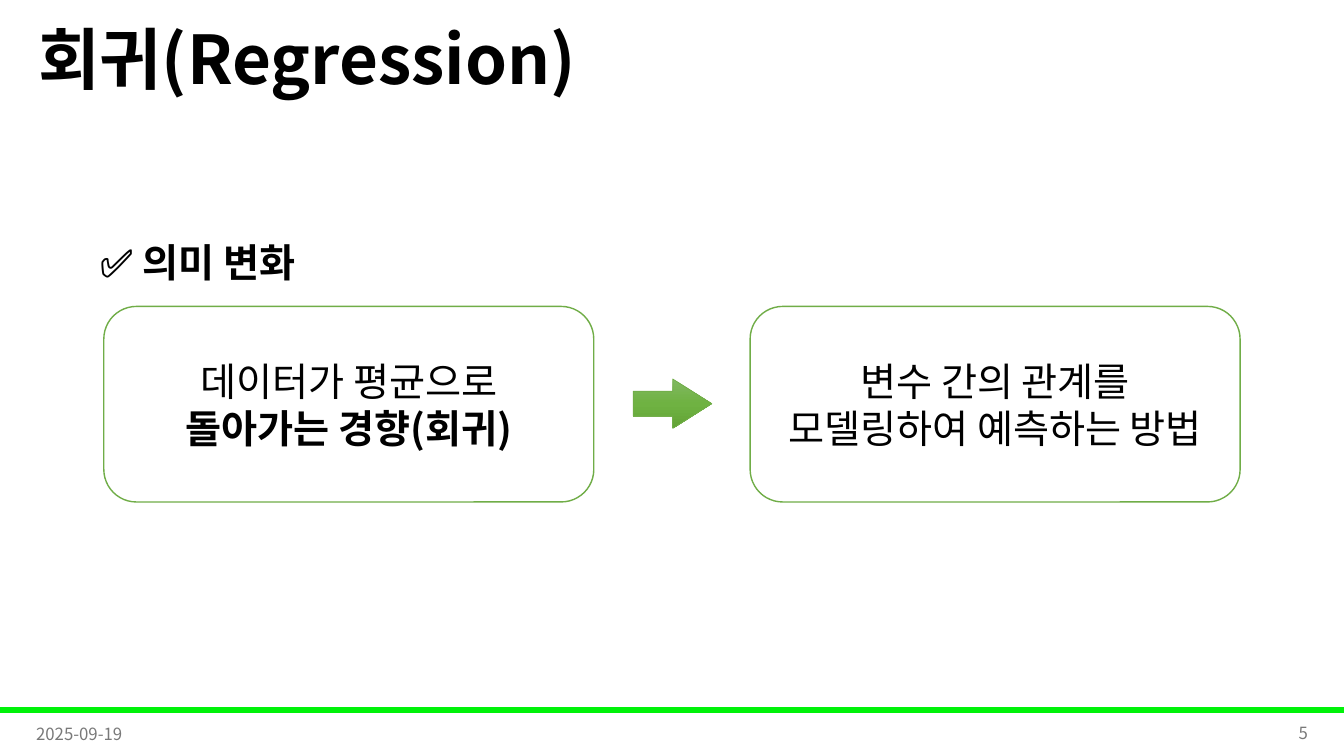
import copy
from dataclasses import dataclass

import pptx
import pptx.dml.color
import pptx.enum.shapes
import pptx.enum.text
import pptx.oxml
import pptx.oxml.ns
import pptx.util
from pptx.enum.shapes import MSO_SHAPE
from pptx.enum.text import MSO_ANCHOR, PP_ALIGN

FONT = "Noto Sans CJK KR"
BLACK, GRAY, WHITE = "000000", "797979", "FFFFFF"
GREEN, BAR_GREEN = "70AD47", "00F209"
ARROW_STOPS = ((0, "81B861"), (0.5, "6FB242"), (1, "62A336"))


@dataclass(frozen=True)
class Box:
    left: float
    top: float
    width: float
    height: float

    def lengths(self) -> list[int]:
        return [pptx.util.Inches(value) for value in (self.left, self.top, self.width, self.height)]


@dataclass(frozen=True)
class Line:
    text: str
    bold: bool = False


@dataclass(frozen=True)
class Card:
    left: float
    lines: tuple[Line, ...]


@dataclass(frozen=True)
class Label:
    box: Box
    line: Line
    size: float
    color: str = BLACK
    align: PP_ALIGN = PP_ALIGN.LEFT
    anchor: MSO_ANCHOR = MSO_ANCHOR.MIDDLE
    spacing: float = 1.0


CARDS = (
    Card(1.03, (Line("데이터가 평균으로"), Line("돌아가는 경향(회귀)", True))),
    Card(7.44, (Line("변수 간의 관계를"), Line("모델링하여 예측하는 방법"))),
)
LABELS = (
    Label(Box(0.28, 0, 11.5, 1.25), Line("회귀(Regression)", True), 48, spacing=0.9),
    Label(Box(0.89, 2.22, 9.26, 0.78), Line("✅ 의미 변화", True), 28,
          anchor=MSO_ANCHOR.TOP, spacing=1.2),
    Label(Box(0.26, 7.08, 3, 0.4), Line("2025-09-19"), 12, GRAY),
    Label(Box(10.07, 7.07, 3, 0.4), Line("5"), 12, GRAY, PP_ALIGN.RIGHT),
)


def rgb(value: str) -> pptx.dml.color.RGBColor:
    return pptx.dml.color.RGBColor.from_string(value)


def write_text(shape, lines: tuple[Line, ...], *, size: float, color: str = BLACK,
               align: PP_ALIGN = PP_ALIGN.LEFT, anchor: MSO_ANCHOR = MSO_ANCHOR.MIDDLE,
               spacing: float = 1.0) -> None:
    frame = shape.text_frame
    frame.word_wrap = True
    frame.vertical_anchor = anchor
    for index, line in enumerate(lines):
        paragraph = frame.add_paragraph() if index else frame.paragraphs[0]
        paragraph.alignment = align
        paragraph.line_spacing = spacing
        run = paragraph.add_run()
        run.text = line.text
        font = run.font
        font.size = pptx.util.Pt(size)
        font.bold = line.bold
        font.color.rgb = rgb(color)
        font.name = FONT
        east_asian = pptx.oxml.parse_xml(
            f'<a:ea {pptx.oxml.ns.nsdecls("a")} typeface="{FONT}"/>')
        run._r.get_or_add_rPr().find(pptx.oxml.ns.qn("a:latin")).addnext(east_asian)


def add_shape(slide, kind: MSO_SHAPE, box: Box, *, fill: str, line: str, line_width: float):
    shape = slide.shapes.add_shape(kind, *box.lengths())
    shape.shadow.inherit = False
    shape.fill.solid()
    shape.fill.fore_color.rgb = rgb(fill)
    shape.line.color.rgb = rgb(line)
    shape.line.width = pptx.util.Pt(line_width)
    return shape


def add_card(slide, card: Card) -> None:
    shape = add_shape(slide, MSO_SHAPE.ROUNDED_RECTANGLE, Box(card.left, 3.04, 4.86, 1.94),
                      fill=WHITE, line=GREEN, line_width=1)
    write_text(shape, card.lines, size=28, align=PP_ALIGN.CENTER)


def add_arrow(slide) -> None:
    arrow = add_shape(slide, MSO_SHAPE.RIGHT_ARROW, Box(6.28, 3.76, 0.78, 0.49),
                      fill=GREEN, line=GREEN, line_width=0.5)
    arrow.adjustments[0] = 0.5
    arrow.adjustments[1] = 0.79
    arrow.fill.gradient()
    arrow.fill.gradient_angle = 270
    stop_list = arrow._element.spPr.find(".//" + pptx.oxml.ns.qn("a:gsLst"))
    stop_list.append(copy.deepcopy(stop_list[0]))
    for stop, (position, color) in zip(arrow.fill.gradient_stops, ARROW_STOPS):
        stop.position = position
        stop.color.rgb = rgb(color)


def add_label(slide, label: Label) -> None:
    shape = slide.shapes.add_textbox(*label.box.lengths())
    write_text(shape, (label.line,), size=label.size, color=label.color, align=label.align,
               anchor=label.anchor, spacing=label.spacing)


def main() -> None:
    presentation = pptx.Presentation()
    presentation.slide_width = pptx.util.Inches(13.33)
    presentation.slide_height = pptx.util.Inches(7.5)
    slide = presentation.slides.add_slide(presentation.slide_layouts[6])
    add_shape(slide, MSO_SHAPE.RECTANGLE, Box(0, 7.02, 13.33, 0.05),
              fill=BAR_GREEN, line=BAR_GREEN, line_width=1)
    for card in CARDS:
        add_card(slide, card)
    add_arrow(slide)
    for label in LABELS:
        add_label(slide, label)
    presentation.save("out.pptx")


if __name__ == "__main__":
    main()
